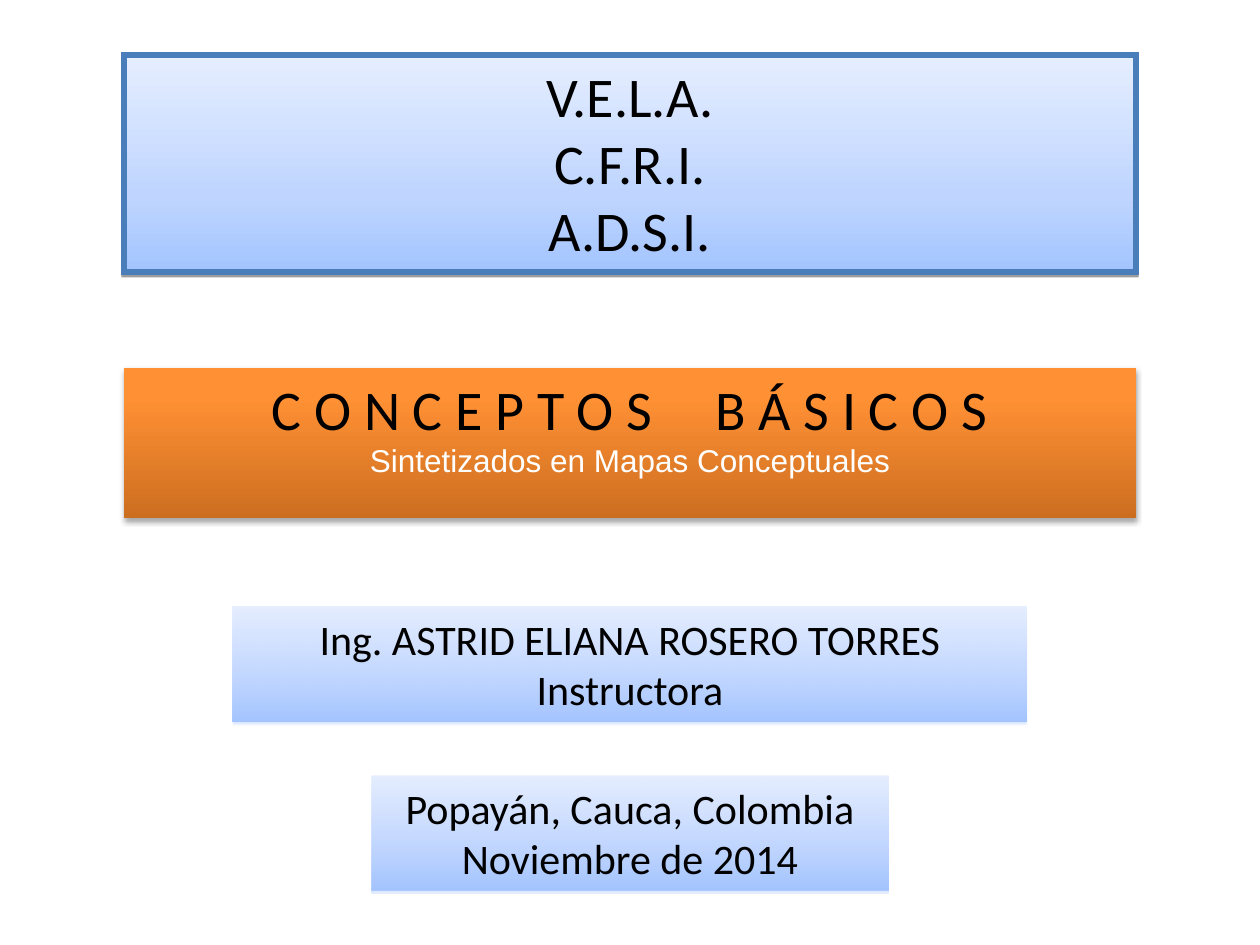
from dataclasses import dataclass

from lxml.etree import SubElement
from pptx import Presentation
from pptx.dml.color import RGBColor
from pptx.enum.shapes import MSO_SHAPE
from pptx.enum.text import MSO_ANCHOR, MSO_AUTO_SIZE, PP_ALIGN
from pptx.oxml.ns import qn
from pptx.util import Emu, Pt

PX = 914400 / 126
SLIDE_W, SLIDE_H = 1260, 945


# Gradient stops: position %, colour, opacity %
# Shadows: opacity %, blur pt, distance pt
@dataclass(frozen=True)
class Theme:
    black: str = "000000"
    white: str = "FFFFFF"
    border: str = "4A7EBB"
    border_pt: int = 3
    blue: tuple = ((0, "A3C4FF", 100), (35, "BFD5FF", 100), (100, "E5EEFF", 100))
    pale_blue: tuple = ((0, "A3C4FF", 100), (35, "BFD5FF", 98), (100, "E5EEFF", 94))
    orange: tuple = ((0, "CC6E20", 100), (80, "FF9034", 100), (100, "FF9136", 100))
    flat_shadow: tuple = (38, 0, 1.6)
    soft_shadow: tuple = (35, 3.1, 1.8)
    heading_font: str = "Calibri"
    subtitle_font: str = "Arial"
    heading: int = 32
    credit: int = 24
    subtitle: int = 18


THEME = Theme()


def px(length):
    return Emu(round(length * PX))


def set_all(target, values):
    for name, value in values.items():
        setattr(target, name, value)


def add_colour(parent, colour, opacity):
    node = SubElement(parent, qn("a:srgbClr"), val=colour)
    if opacity < 100:
        SubElement(node, qn("a:alpha"), val=str(opacity * 1000))


def fill_gradient(panel, stops):
    """Fill from the bottom edge upwards."""
    panel.fill.gradient()
    panel.fill.gradient_angle = 90
    stop_list = panel.fill._xPr.find(qn("a:gradFill")).find(qn("a:gsLst"))
    for default_stop in list(stop_list):
        stop_list.remove(default_stop)
    for position, colour, opacity in stops:
        stop = SubElement(stop_list, qn("a:gs"), pos=str(position * 1000))
        add_colour(stop, colour, opacity)


def add_border(panel):
    """Draw a solid outline with square corners."""
    panel.line.color.rgb = RGBColor.from_string(THEME.border)
    panel.line.width = Pt(THEME.border_pt)
    outline = panel._element.spPr.find(qn("a:ln"))
    SubElement(outline, qn("a:miter"), lim="800000")


def add_shadow(panel, shadow):
    opacity, blur, distance = shadow
    panel.shadow.inherit = False
    effects = panel._element.spPr.find(qn("a:effectLst"))
    outer = SubElement(effects, qn("a:outerShdw"), blurRad=str(Pt(blur)),
                       dist=str(Pt(distance)), dir="5400000", rotWithShape="0")
    add_colour(outer, THEME.black, opacity)


def write_lines(panel, lines):
    """Each line is (text, size, font, colour)."""
    frame = panel.text_frame
    set_all(frame, {
        "word_wrap": True, "auto_size": MSO_AUTO_SIZE.NONE,
        "vertical_anchor": MSO_ANCHOR.TOP,
    })
    for index, (text, size, font, colour) in enumerate(lines):
        paragraph = frame.add_paragraph() if index else frame.paragraphs[0]
        paragraph.alignment = PP_ALIGN.CENTER
        run = paragraph.add_run()
        run.text = text
        set_all(run.font, {"size": Pt(size), "name": font})
        run.font.color.rgb = RGBColor.from_string(colour)


def style_panel(panel, box, stops, shadow, lines, bordered=False):
    """Centre the panel on the slide; box is (top, width, height)."""
    top, width, height = box
    set_all(panel, {
        "left": px((SLIDE_W - width) / 2), "top": px(top),
        "width": px(width), "height": px(height),
    })
    fill_gradient(panel, stops)
    if bordered:
        add_border(panel)
    else:
        panel.line.fill.background()
    add_shadow(panel, shadow)
    write_lines(panel, lines)


def add_panel(slide, box, stops, texts, size, bordered=False):
    panel = slide.shapes.add_shape(MSO_SHAPE.RECTANGLE, 0, 0, px(1), px(1))
    lines = [(text, size, THEME.heading_font, THEME.black) for text in texts]
    style_panel(panel, box, stops, THEME.flat_shadow, lines, bordered)


def main():
    deck = Presentation()
    set_all(deck, {"slide_width": px(SLIDE_W), "slide_height": px(SLIDE_H)})
    slide = deck.slides.add_slide(deck.slide_layouts[5])

    # Institution, centre and programme
    add_panel(slide, (55, 1012, 217), THEME.blue,
              ["V.E.L.A.", "C.F.R.I.", "A.D.S.I."], THEME.heading, bordered=True)

    # Title and subtitle
    style_panel(slide.shapes.title, (368, 1012, 150), THEME.orange, THEME.soft_shadow, [
        ("C O N C E P T O S     B Á S I C O S", THEME.heading,
         THEME.heading_font, THEME.black),
        ("Sintetizados en Mapas Conceptuales", THEME.subtitle,
         THEME.subtitle_font, THEME.white),
    ])

    # Instructor, then place and date
    add_panel(slide, (607, 794, 115), THEME.pale_blue,
              ["Ing. ASTRID ELIANA ROSERO TORRES", "Instructora"], THEME.credit)
    add_panel(slide, (776, 517, 115), THEME.pale_blue,
              ["Popayán, Cauca, Colombia", "Noviembre de 2014"], THEME.credit)

    deck.save("out.pptx")


if __name__ == "__main__":
    main()
